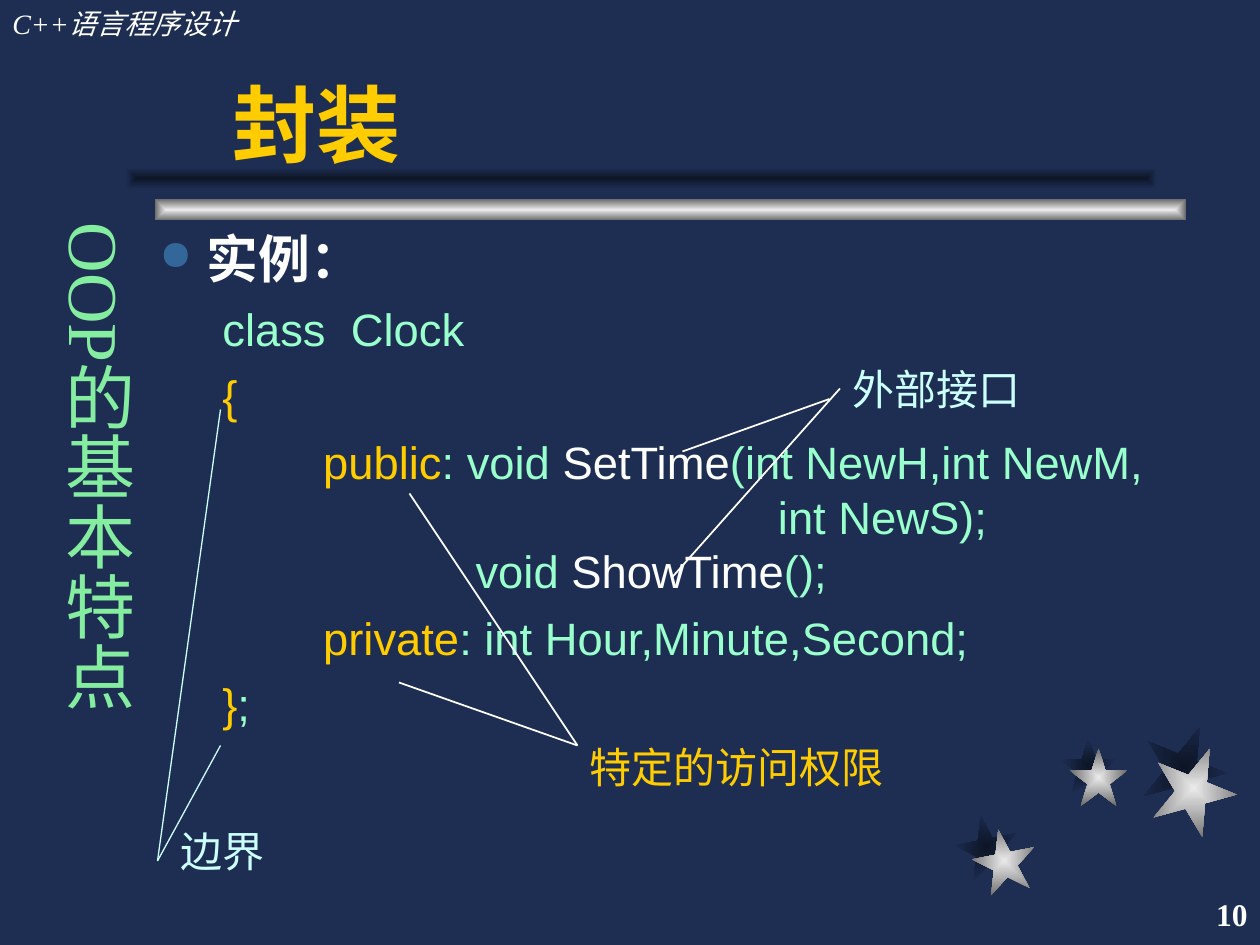
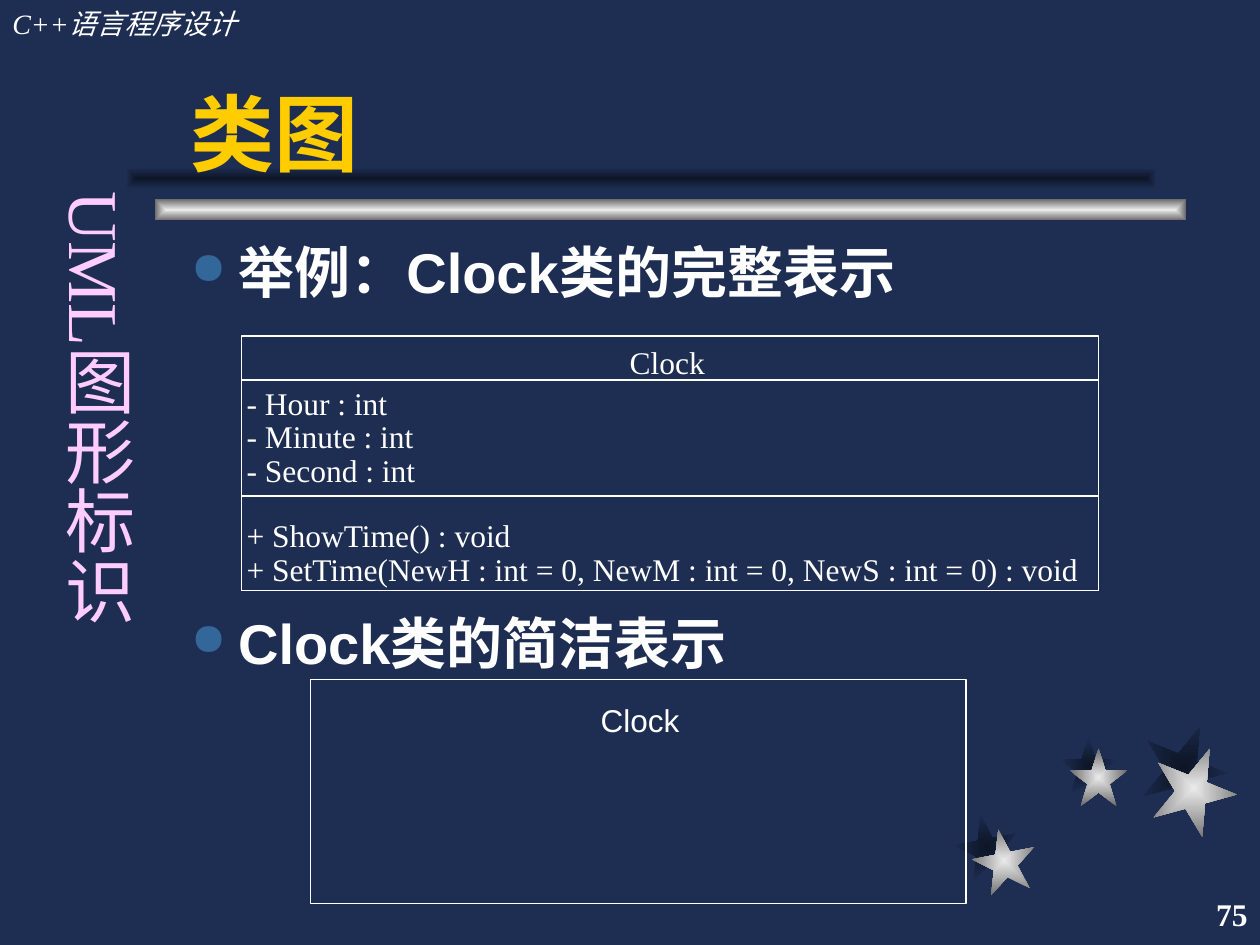
from lxml import etree
from pptx import Presentation
from pptx import util as u
from pptx.dml.color import RGBColor
from pptx.enum import shapes, text
from pptx.oxml.ns import qn

Pt = u.Pt
SERIF, SANS = "Times New Roman", "Arial"
COLORS = {
    "navy": "1E2E53", "shade": "0D1526", "silver": "EAEAEA", "steel": "6B6B6B",
    "white": "FFFFFF", "gold": "FFCC00", "mint": "99FFCC", "ice": "CCFFFF",
    "bullet": "336699", "green": "85EDA0", "pink": "FFCCFF",
}


def rgb(name):
    return RGBColor.from_string(COLORS[name])


def add_text(s, box, margins=(7.2, 3.6), anchor=text.MSO_ANCHOR.TOP, wrap=True, vert=None):
    sp = s.shapes.add_textbox(*map(Pt, box))
    tf = sp.text_frame
    tf.word_wrap = wrap
    tf.vertical_anchor = anchor
    tf.margin_left = tf.margin_right = Pt(margins[0])
    tf.margin_top = tf.margin_bottom = Pt(margins[1])
    if vert:
        sp.element.txBody.bodyPr.set("vert", vert)
    return tf


def add_para(tf, runs, size, font=SERIF, bold=False, italic=False, before=0, indent=0,
             align=text.PP_ALIGN.LEFT):
    p = tf.paragraphs[0]
    if p.runs:
        p = tf.add_paragraph()
    p.alignment = align
    p.space_before = Pt(before)
    if indent:
        p._p.get_or_add_pPr().set("marL", str(Pt(indent)))
    for words, color in runs:
        r = p.add_run()
        r.text = words
        r.font.name, r.font.size = font, Pt(size)
        r.font.bold, r.font.italic = bold, italic
        r.font.color.rgb = rgb(color)
    return p


def add_bullet(tf, words, size, before):
    p = add_para(tf, [(words, "white")], size, SANS, bold=True, before=before, indent=27)
    pPr = p._p.get_or_add_pPr()
    pPr.set("indent", str(-Pt(27)))
    color = etree.SubElement(pPr, qn("a:buClr"))
    etree.SubElement(color, qn("a:srgbClr"), val=COLORS["bullet"])
    etree.SubElement(pPr, qn("a:buSzPct"), val="80000")
    etree.SubElement(pPr, qn("a:buChar"), char="●")


def add_glow(s, kind, box, inner, outer, rotation=0):
    sp = s.shapes.add_shape(kind, *map(Pt, box))
    sp.shadow.inherit = False
    sp.rotation = rotation
    sp.line.fill.background()
    sp.fill.gradient()
    for stop, color, position in zip(sp.fill.gradient_stops, (inner, outer), (0, 1)):
        stop.color.rgb = rgb(color)
        stop.position = position
    grad = sp.element.spPr.find(qn("a:gradFill"))
    grad.remove(grad.find(qn("a:lin")))
    rect_path = etree.SubElement(grad, qn("a:path"), path="rect")
    etree.SubElement(rect_path, qn("a:fillToRect"), l="50000", t="50000", r="50000", b="50000")


def add_line(s, start, end, color, width):
    c = s.shapes.add_connector(shapes.MSO_CONNECTOR.STRAIGHT, *map(Pt, (*start, *end)))
    c.line.color.rgb = rgb(color)
    c.line.width = Pt(width)
    etree.SubElement(c.element.spPr, qn("a:effectLst"))


def add_frame(s, box):
    sp = s.shapes.add_shape(shapes.MSO_SHAPE.RECTANGLE, *map(Pt, box))
    sp.shadow.inherit = False
    sp.fill.background()
    sp.line.color.rgb = rgb("white")
    sp.line.width = Pt(0)


def add_stars(s, box):
    left, top = box[:2]
    stars = [
        ((0, 51.8), (10.1, 59.8), 36, 349),
        ((59.8, 7.2), (65.5, 13.7), 33, 0),
        ((106.6, 0), (112.3, 12.2), 48.2, 22),
    ]
    for layer, colors in enumerate([("shade", "navy"), ("silver", "steel")]):
        for *spots, size, rotation in stars:
            x, y = spots[layer]
            add_glow(s, shapes.MSO_SHAPE.STAR_5_POINT, (left + x, top + y, size, size),
                     *colors, rotation)


def add_title_bars(s, box):
    left, top = box[:2]
    bar = shapes.MSO_SHAPE.RECTANGLE
    add_glow(s, bar, (left + 16.6, top + 18, 589, 12.2), "silver", "steel")
    add_glow(s, bar, (left, top, 589, 12.2), "shade", "navy")


def add_base(prs, title, title_box, title_spacing, side, side_top, side_color, number):
    s = prs.slides.add_slide(prs.slide_layouts[6])
    s.background.fill.solid()
    s.background.fill.fore_color.rgb = rgb("navy")
    add_stars(s, (545.8, 414, 162, 96))
    add_title_bars(s, (72, 95.8, 606, 30))
    course = add_text(s, (0, 0, 222, 26.6))
    add_para(course, [("C++语言程序设计", "white")], 16, italic=True)
    heading = add_text(s, title_box, anchor=text.MSO_ANCHOR.BOTTOM)
    p = add_para(heading, [(title, "gold")], 48, SANS, bold=True)
    p.line_spacing = title_spacing
    topic = add_text(s, (21.6, side_top, 62, 372), (3.6, 7.2), vert="eaVert")
    add_para(topic, [(side, side_color)], 40)
    page = add_text(s, (570, 504, 150, 36), anchor=text.MSO_ANCHOR.MIDDLE)
    add_para(page, [(number, "white")], 18, bold=True, align=text.PP_ALIGN.RIGHT)
    return s


def add_code(s, box):
    tf = add_text(s, box)
    add_bullet(tf, "实例：", 29.6, 8)
    outer, inner = 36, 93.6
    lines = [
        (outer, 7, [("class", "mint"), (" ", "mint"), ("Clock", "mint")]),
        (outer, 7, [("{", "gold")]),
        (inner, 7, [("public", "gold"), (": void ", "mint"), ("SetTime", "white"),
                    ("(int NewH,int NewM,", "mint")]),
        (353.5, 0, [("int NewS);", "mint")]),
        (180.7, 0, [("void ", "mint"), ("ShowTime", "white"), ("();", "mint")]),
        (inner, 7, [("private", "gold"), (": int Hour,Minute,Second;", "mint")]),
        (outer, 7, [("}", "gold"), (";", "mint")]),
    ]
    for indent, before, runs in lines:
        add_para(tf, runs, 25.9, SANS, before=before, indent=indent)
    class_gap = tf.paragraphs[1].runs[1]
    class_gap.font._element.set("spc", "720")


def add_callouts(s, box):
    left, top = box[:2]
    callouts = [
        ("边界", "ice", (12, 342, 72), "ice", 0.75,
         [((42, 108), (6, 366)), ((42, 300), (6, 366))]),
        ("特定的访问权限", "gold", (246, 294, 186), "white", 1,
         [((150, 156), (246, 300)), ((144, 264), (246, 300))]),
        ("外部接口", "ice", (396, 78, 126), "white", 1,
         [((300, 204), (396, 96)), ((306, 132), (390, 102))]),
    ]
    for label, color, (x, y, width), line_color, weight, leaders in callouts:
        for leader in leaders:
            start, end = [(left + px, top + py) for px, py in leader]
            add_line(s, start, end, line_color, weight)
        tf = add_text(s, (left + x, top + y, width, 36))
        add_para(tf, [(label, color)], 24)


def add_full_class(s, box):
    left, top, width, height = box
    for y in (0, 25.2, 91.5):
        add_frame(s, (left, top + y, width, height - y))
    members = [
        (221.8, 4.3, "Clock"),
        (2.9, 27.4, "- Hour : int"),
        (2.9, 46.2, "- Minute : int"),
        (2.9, 65.5, "- Second : int"),
        (2.9, 103, "+ ShowTime() : void"),
        (2.9, 122.4, "+ SetTime(NewH : int = 0, NewM : int = 0, NewS : int = 0) : void"),
    ]
    for x, y, words in members:
        tf = add_text(s, (left + x, top + y, width - x, 21.6), (0, 0))
        add_para(tf, [(words, "white")], 18)


def add_short_class(s, box):
    left, top, width, height = box
    add_frame(s, box)
    tf = add_text(s, (left + 123, top + 12.2, 130.3, 21.6), (0, 0))
    add_para(tf, [("Clock", "white")], 18, SANS, align=text.PP_ALIGN.CENTER)


def add_encapsulation_slide(prs):
    s = add_base(prs, "封装", (126, 36, 546, 66), 0.8, "OOP的基本特点", 120, "green", "10")
    body = (84, 126, 642, 306)
    add_code(s, body)
    add_callouts(s, body)


def add_class_diagram_slide(prs):
    s = add_base(prs, "类图", (102, 18, 564, 90), 1.0, "UML图形标识", 102, "pink", "75")
    tf = add_text(s, (102, 132, 570, 342))
    add_bullet(tf, "举例：Clock类的完整表示", 32, 4)
    add_bullet(tf, "Clock类的简洁表示", 32, 173.6)
    add_full_class(s, (138, 192, 489.6, 145.6))
    add_short_class(s, (177.6, 388.2, 374.4, 128))


def main():
    prs = Presentation()
    prs.slide_width, prs.slide_height = Pt(720), Pt(540)
    add_encapsulation_slide(prs)
    add_class_diagram_slide(prs)
    prs.save("out.pptx")


if __name__ == "__main__":
    main()
